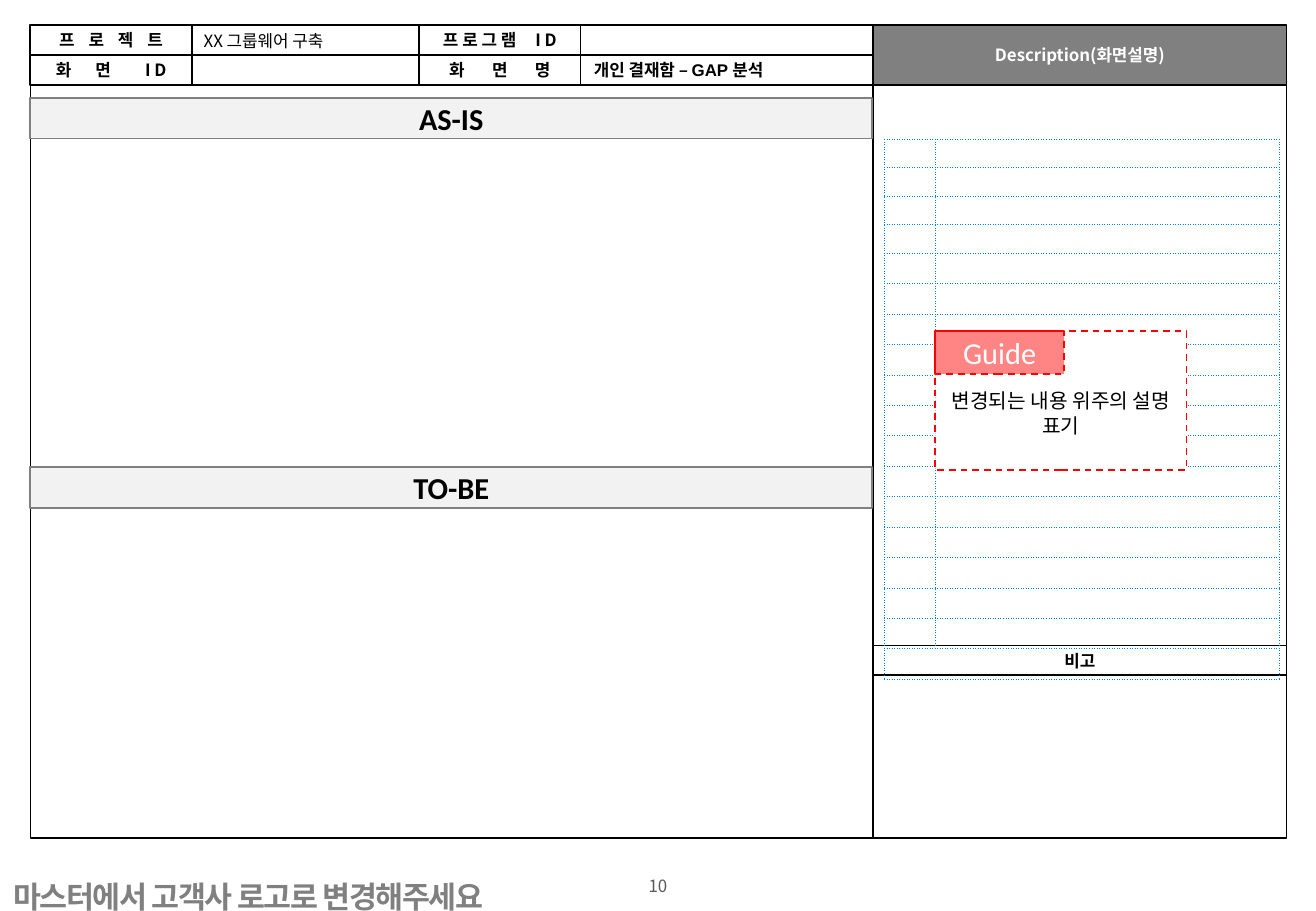
from lxml import etree
from pptx import Presentation
from pptx.dml.color import RGBColor
from pptx.enum.dml import MSO_LINE
from pptx.enum.shapes import MSO_SHAPE
from pptx.enum.text import MSO_ANCHOR, PP_ALIGN
from pptx.oxml.ns import qn
from pptx.util import Pt

RECT = MSO_SHAPE.RECTANGLE
DASH = MSO_LINE.DASH
TOP, MIDDLE = MSO_ANCHOR.TOP, MSO_ANCHOR.MIDDLE
LEFT, CENTER = PP_ALIGN.LEFT, PP_ALIGN.CENTER

BLACK = RGBColor(0x00, 0x00, 0x00)
WHITE = RGBColor(0xFF, 0xFF, 0xFF)
GRAY = RGBColor(0x80, 0x80, 0x80)
DARK_GRAY = RGBColor(0x59, 0x59, 0x59)
PALE_GRAY = RGBColor(0xF2, 0xF2, 0xF2)
RED = RGBColor(0xFF, 0x00, 0x00)
GRID_BLUE = RGBColor(0x00, 0x81, 0xE2)

NOTO, ARIAL, CALIBRI = "Noto Sans CJK KR", "Arial", "Calibri"
LABEL = {"size": Pt(10), "bold": True, "name": NOTO}

# Frame edges
X0, X_SPLIT, X1 = 18, 517.6, 762.5
Y0, ROW_H, Y1 = 14.9, 17.75, 496.8
Y_BODY = Y0 + 2 * ROW_H
LABEL_W = 95.7
X_VALUE, X_LABEL2 = X0 + LABEL_W, 248.4


def write(s, segments, fmt, color=BLACK, align=CENTER, anchor=MIDDLE,
          wrap=True, line_spacing=None):
    """Fill a shape with one paragraph of (text, letter spacing) segments."""
    tf = s.text_frame
    tf.word_wrap = wrap
    tf.vertical_anchor = anchor
    p = tf.paragraphs[0]
    p.alignment = align
    if line_spacing:
        p.line_spacing = line_spacing
    for text, spacing in segments:
        r = p.add_run()
        r.text = text
        for key, value in fmt.items():
            setattr(r.font, key, value)
        r.font.color.rgb = color
        r_pr = r.font._element
        etree.SubElement(r_pr, qn("a:ea"), typeface=NOTO)
        if spacing:
            r_pr.set("spc", str(int(spacing * 100)))


def add_box(shapes, x, y, w, h, fill=None, line=BLACK, dash=None):
    s = shapes.add_shape(RECT, Pt(x), Pt(y), Pt(w), Pt(h))
    s.shadow.inherit = False
    if fill is None:
        s.fill.background()
    else:
        s.fill.solid()
        s.fill.fore_color.rgb = fill
    s.line.color.rgb = line
    s.line.width = Pt(1)
    if dash:
        s.line.dash_style = dash
    return s


def add_text(shapes, x, y, w, h, text, fmt, spacing=0, **options):
    s = shapes.add_textbox(Pt(x), Pt(y), Pt(w), Pt(h))
    write(s, [(text, spacing)], fmt, **options)


def set_alpha(s, percent):
    color = s.fill._xPr.find(qn("a:solidFill"))[0]
    etree.SubElement(color, qn("a:alpha"), val=str(percent * 1000))


def style_grid_cell(cell):
    """Empty cell with thin dotted borders and no fill."""
    for side in ("left", "right", "top", "bottom"):
        setattr(cell, "margin_" + side, 0)
    p = cell.text_frame.paragraphs[0]._p
    etree.SubElement(p, qn("a:endParaRPr"), sz="800")
    cell.fill.background()
    tc_pr = cell._tc.get_or_add_tcPr()
    for i, tag in enumerate(("a:lnL", "a:lnR", "a:lnT", "a:lnB")):
        ln = etree.Element(qn(tag), w=str(Pt(0.5)))
        fill = etree.SubElement(ln, qn("a:solidFill"))
        etree.SubElement(fill, qn("a:srgbClr"), val=str(GRID_BLUE))
        etree.SubElement(ln, qn("a:prstDash"), val="sysDot")
        tc_pr.insert(i, ln)


def add_description_grid(shapes):
    heights = [16.9] * 4 + [18.05] * 14
    widths = [30.2, 203.7]
    frame = shapes.add_table(len(heights), len(widths), Pt(524.2), Pt(82.6),
                             Pt(sum(widths)), Pt(sum(heights)))
    table = frame.table
    table.first_row = table.horz_banding = False
    for column, w in zip(table.columns, widths):
        column.width = Pt(w)
    for row, h in zip(table.rows, heights):
        row.height = Pt(h)
        for cell in row.cells:
            style_grid_cell(cell)
    last = len(heights) - 1
    table.cell(last, 0).merge(table.cell(last, 1))


def add_frame(shapes):
    side_w = X1 - X_SPLIT
    add_box(shapes, X_SPLIT, Y_BODY, side_w, Y1 - Y_BODY)
    add_box(shapes, X0, Y_BODY, X_SPLIT - X0, Y1 - Y_BODY)

    # Header rows: label, value, label, value
    header = [
        ([("프 로 젝 트", 3)], [("프 로 그 ", 0), ("램 ", 4.5), ("I D", 0)]),
        ([("화 ", 6), ("면 ", 9), ("I D", 0)], [("화 면 명", 7)]),
    ]
    for i, labels in enumerate(header):
        y = Y0 + i * ROW_H
        add_box(shapes, X_VALUE, y, X_SPLIT - X_VALUE, ROW_H)
        for x, segments in zip((X0, X_LABEL2), labels):
            s = add_box(shapes, x, y, LABEL_W, ROW_H)
            write(s, segments, LABEL, wrap=False)

    # Side column captions
    s = add_box(shapes, X_SPLIT, Y0, side_w, 2 * ROW_H, fill=GRAY)
    write(s, [("Description(화면설명)", 0)], LABEL, WHITE, wrap=False)
    s = add_box(shapes, X_SPLIT, 382.6, side_w, ROW_H)
    write(s, [("비고", 0)], LABEL, wrap=False)


def add_guide(shapes):
    group = shapes.add_group_shape().shapes
    x, y = 554.4, 196.3
    s = add_box(group, x, y, 149, 82.3, WHITE, RED, DASH)
    write(s, [("변경되는 내용 위주의 설명 표기", 0)],
          {"size": Pt(12), "name": CALIBRI})
    s.text_frame.margin_top = Pt(18)
    s = add_box(group, x, y, 76.3, 25.4, RED, RED, DASH)
    set_alpha(s, 48)
    write(s, [("Guide", 0)], {"size": Pt(18), "name": CALIBRI}, WHITE)


def main():
    prs = Presentation()
    prs.slide_width, prs.slide_height = Pt(780), Pt(540)
    shapes = prs.slides.add_slide(prs.slide_layouts[6]).shapes

    # Footer
    plain = {"size": Pt(10), "name": NOTO}
    add_text(shapes, 344.9, 515.5, 90, 21.6, "10", plain,
             color=DARK_GRAY, anchor=TOP)
    add_text(shapes, 0.7, 506.2, 326.9, 36,
             "마스터에서 고객사 로고로 변경해주세요",
             {"size": Pt(18), "bold": True, "name": NOTO}, spacing=-0.8,
             color=GRAY, align=LEFT, anchor=TOP, wrap=False, line_spacing=1.5)

    # Page frame and header values
    add_frame(shapes)
    add_text(shapes, X_VALUE, 14.9, 134.6, 19.4, "XX 그룹웨어 구축", plain,
             align=LEFT, anchor=TOP)
    add_description_grid(shapes)
    add_text(shapes, 344.9, 31.4, 172, 20.9, "개인 결재함 – GAP 분석",
             {"size": Pt(10), "bold": True, "name": ARIAL},
             align=LEFT, line_spacing=0.9)

    # Section bars
    for text, y in (("AS-IS", 58.2), ("TO-BE", 277)):
        s = add_box(shapes, X0, y, 499, 24, PALE_GRAY, GRAY)
        write(s, [(text, 0)], {"size": Pt(18), "bold": True, "name": CALIBRI})

    add_guide(shapes)
    prs.save("out.pptx")


if __name__ == "__main__":
    main()
